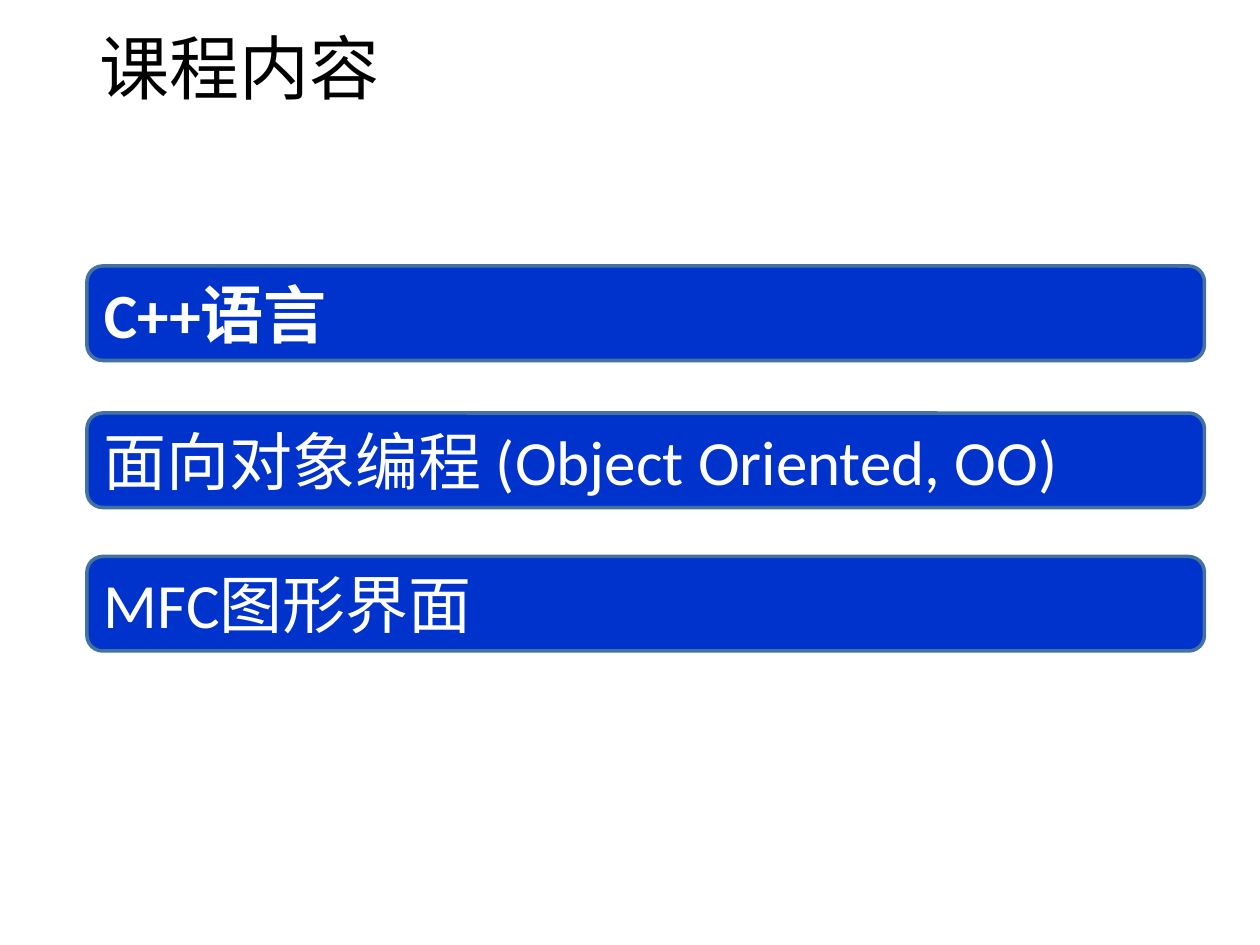
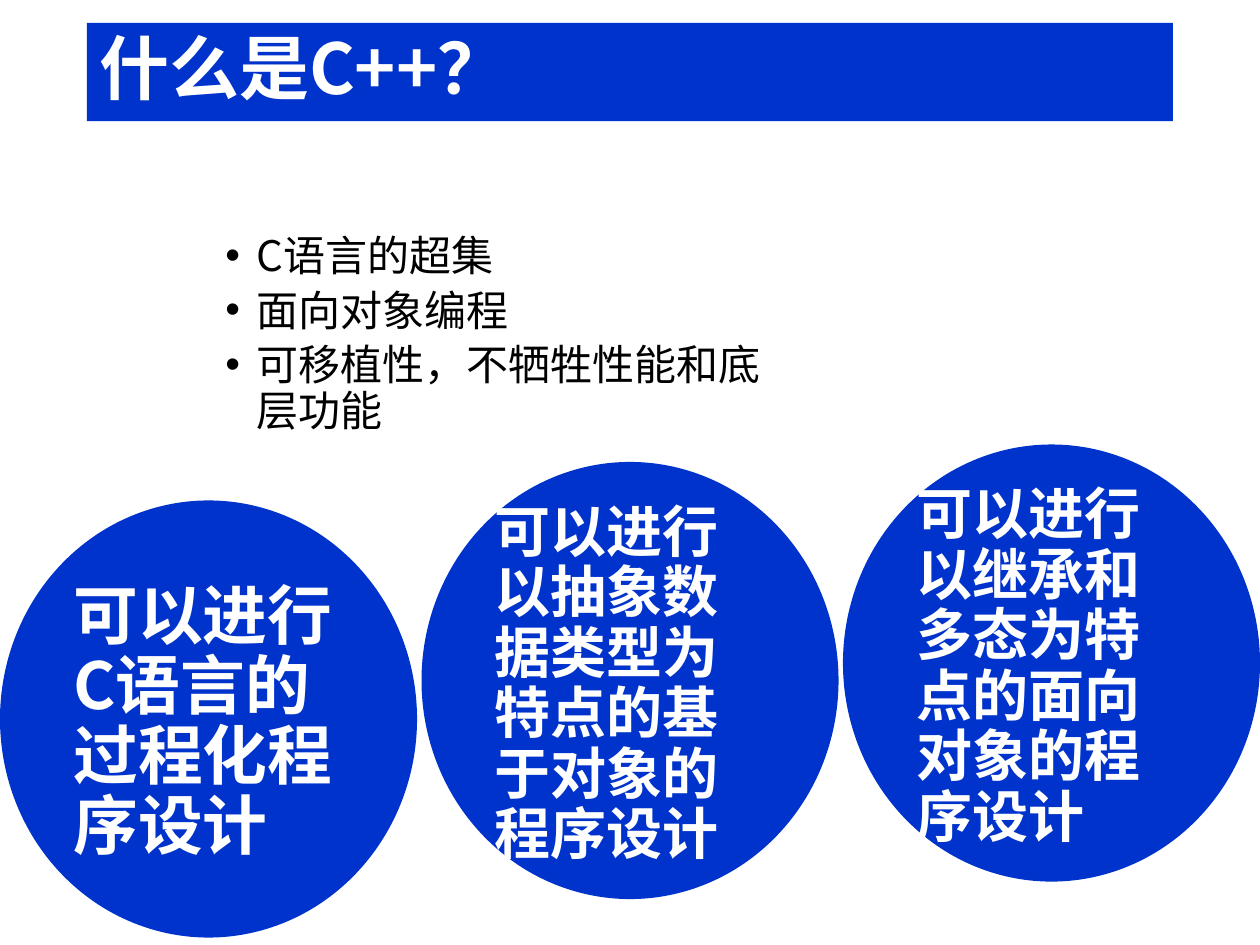
import pptx
import pptx.util
import pptx.dml.color
import pptx.enum.shapes
import pptx.enum.text
import pptx.oxml.ns
import lxml.etree
from dataclasses import dataclass
from typing import Any, Optional

Pt = pptx.util.Pt
RGB = pptx.dml.color.RGBColor
Kind = pptx.enum.shapes.MSO_SHAPE
Anchor = pptx.enum.text.MSO_ANCHOR
Align = pptx.enum.text.PP_ALIGN
qn = pptx.oxml.ns.qn


@dataclass(frozen=True)
class Theme:
    """Hold the colours, fonts and type sizes of the deck."""
    blue: str = "0033CC"
    edge: str = "43739E"
    white: str = "FFFFFF"
    black: str = "000000"
    latin: str = "Calibri"
    han: str = "Noto Sans CJK SC"
    title: float = 40
    bar: float = 36
    list: float = 24


@dataclass(frozen=True)
class Style:
    """Describe how a paragraph is set."""
    size: float
    color: str
    face: str
    bold: bool = False
    lead: Any = None


@dataclass(frozen=True)
class Bar:
    """Describe one course topic."""
    text: str
    top: float
    bold: bool = False


@dataclass(frozen=True)
class Disc:
    """Describe one programming style."""
    text: str
    top: float
    size: float
    lead: float
    face: str


THEME = Theme()
LEFT = 49.7
BARS = [
    Bar("C++语言", 152, True),
    Bar("面向对象编程 (Object Oriented, OO)", 236),
    Bar("MFC图形界面", 318),
]
TRAITS = ["C语言的超集", "面向对象编程", "可移植性，不牺牲性能和底层功能"]
DISCS = [
    Disc("可以进行C语言的过程化程序设计", 286, 37, 40, THEME.han),
    Disc("可以进行以抽象数据类型为特点的基于对象的程序设计", 264, 32, 34.6, THEME.latin),
    Disc("可以进行以继承和多态为特点的面向对象的程序设计", 254, 32, 34.6, THEME.latin),
]


def write(para: Any, text: str, style: Style) -> None:
    """Fill a paragraph with text in one style."""
    para.text = text
    para.alignment = Align.LEFT
    if style.lead:
        para.line_spacing = style.lead
    font = para.font
    font.size = Pt(style.size)
    font.bold = style.bold
    font.color.rgb = RGB.from_string(style.color)
    font.name = style.face
    base = para._p.pPr.find(qn("a:defRPr"))
    lxml.etree.SubElement(base, qn("a:ea"), typeface=THEME.han)


def block(slide: Any, kind: Any, box: tuple, text: str, style: Style,
          fill: Optional[str] = THEME.blue, edge: Optional[str] = None) -> Any:
    """Draw a shape with centred-height text and return it."""
    shape = slide.shapes.add_shape(kind, *map(Pt, box))
    shape.shadow.inherit = False
    if fill:
        shape.fill.solid()
        shape.fill.fore_color.rgb = RGB.from_string(fill)
    else:
        shape.fill.background()
    if edge:
        shape.line.color.rgb = RGB.from_string(edge)
        shape.line.width = Pt(2)
    else:
        shape.line.fill.background()
    frame = shape.text_frame
    frame.word_wrap = True
    frame.vertical_anchor = Anchor.MIDDLE
    write(frame.paragraphs[0], text, style)
    return shape


def head(slide: Any, text: str, band: bool = False) -> None:
    """Draw the slide title, on a blue band if asked."""
    color = THEME.white if band else THEME.black
    style = Style(THEME.title, color, THEME.han, band, 0.9)
    block(slide, Kind.RECTANGLE, (LEFT, 13, 620.6, 56.2), text, style,
          THEME.blue if band else None)


def topics(slide: Any) -> None:
    """Draw the course topic bars."""
    for bar in BARS:
        style = Style(THEME.bar, THEME.white, THEME.latin, bar.bold)
        block(slide, Kind.ROUNDED_RECTANGLE, (LEFT, bar.top, 638.6, 54),
              bar.text, style, edge=THEME.edge)


def traits(slide: Any) -> None:
    """Draw the bulleted list of traits."""
    frame = slide.shapes.add_textbox(*map(Pt, (LEFT, 130, 397.4, 384))).text_frame
    frame.word_wrap = True
    style = Style(THEME.list, THEME.black, THEME.han, lead=Pt(26.3))
    for rank, text in enumerate(TRAITS):
        para = frame.add_paragraph() if rank else frame.paragraphs[0]
        props = para._p.get_or_add_pPr()
        props.set("marL", str(Pt(90)))
        props.set("indent", str(Pt(-18)))
        lxml.etree.SubElement(props, qn("a:buFont"), typeface="Arial")
        lxml.etree.SubElement(props, qn("a:buChar"), char="•")
        if rank:
            para.space_before = Pt(5)
        write(para, text, style)


def discs(slide: Any) -> None:
    """Draw the discs, spread evenly over the slide width."""
    width = 238.3
    step = (720 - width) / (len(DISCS) - 1)
    for rank, disc in enumerate(DISCS):
        style = Style(disc.size, THEME.white, disc.face, True, Pt(disc.lead))
        shape = block(slide, Kind.OVAL, (rank * step, disc.top, width, 249.8),
                      disc.text, style)
        shape.text_frame.margin_top = Pt(8)


def main() -> None:
    """Build and save the deck."""
    deck = pptx.Presentation()
    deck.slide_width, deck.slide_height = Pt(720), Pt(540)
    blank = deck.slide_layouts[6]
    course = deck.slides.add_slide(blank)
    head(course, "课程内容")
    topics(course)
    intro = deck.slides.add_slide(blank)
    head(intro, "什么是C++？", True)
    traits(intro)
    discs(intro)
    deck.save("out.pptx")


if __name__ == "__main__":
    main()
